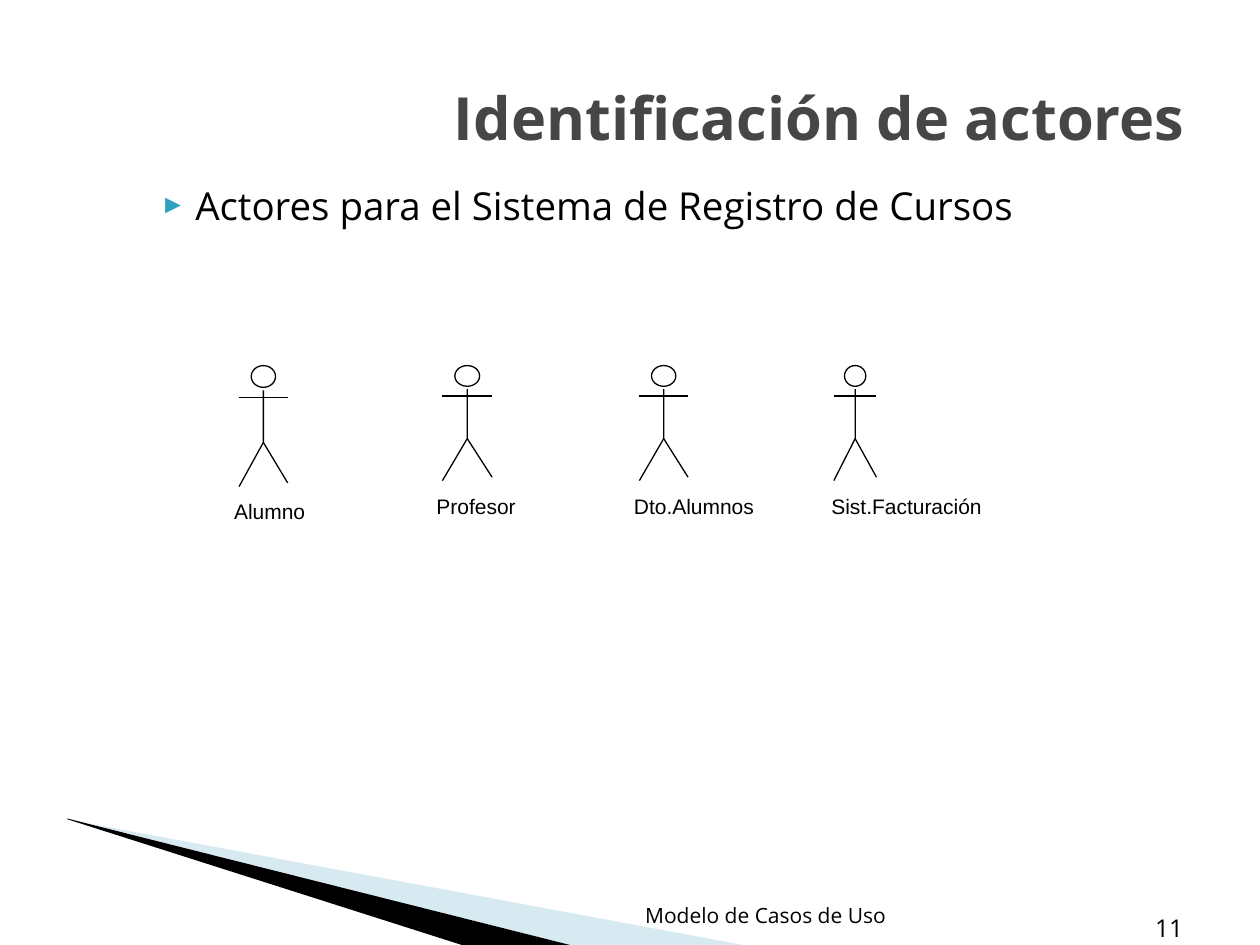
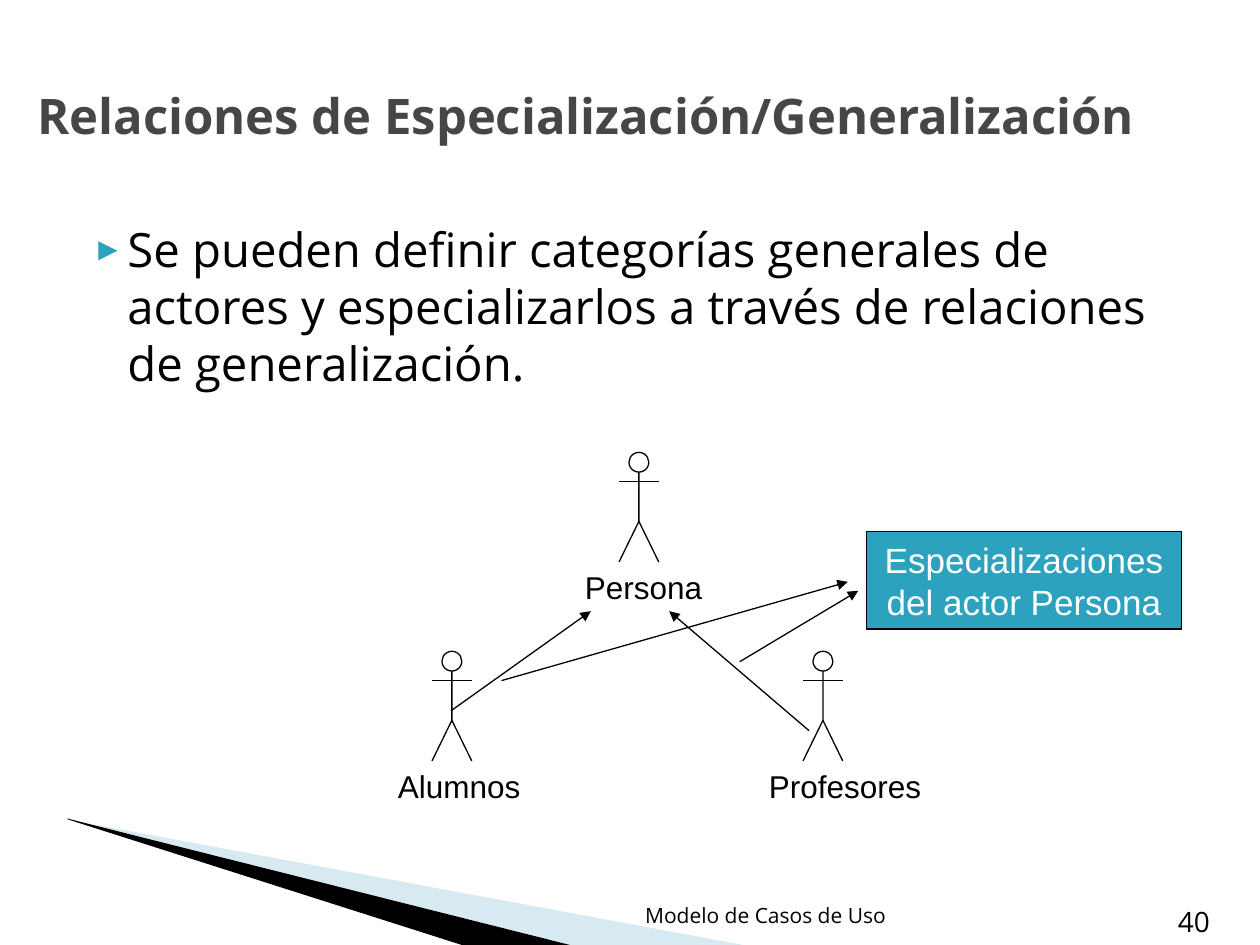
from lxml.etree import SubElement
from pptx import Presentation
from pptx.dml.color import RGBColor as Rgb
from pptx.enum.shapes import MSO_CONNECTOR as Link, MSO_SHAPE as Form
from pptx.enum.text import MSO_ANCHOR as Anchor, PP_ALIGN as Align
from pptx.oxml.ns import qn
from pptx.util import Cm, Pt

# Content: lengths in cm, boxes as left, top, width, height
HUES = {"ink": "000000", "title": "464646", "teal": "2DA2BF",
        "pale": "9FCBDC", "white": "FFFFFF"}
SANS, ARIAL = "Open Sans", "Arial"
WIDE, HIGH = 25.4, 19.05
FOOT = ("Modelo de Casos de Uso", (12.17, 17.81, 6.53, 1.02))
BANDS = [
    ("pale", 40, [(1.4, 16.53), (14.98, HIGH), (11.49, HIGH), (1.4, 16.51)]),
    ("ink", 100, [(1.35, 16.5), (11.49, HIGH), (9.31, HIGH), (1.37, 16.52)]),
]

# Actors: name, centre, top, half arm span, height, label left, label width
SLIDES = [
    {
        "title": ("Identificación de actores", (1.27, 0.76, 22.86, 3.18), 34, Align.RIGHT),
        "body": ("Actores para el Sistema de Registro de Cursos",
                 (2.67, 3.53, 19.84, 12.07), 22),
        "page": ("11", (22.91, 18.11, 1.19, 1.02), 14),
        "pose": {"neck": 0.205, "hip": 0.635, "step": 0.97},
        "label": {"size": 12, "inset": (0.25, 0.13)},
        "actors": [
            ("Alumno", 5.31, 7.37, 0.49, 2.44, 4.47, 2.64),
            ("Profesor", 9.42, 7.37, 0.5, 2.32, 8.55, 2.95),
            ("Dto.Alumnos", 13.38, 7.37, 0.49, 2.32, 12.53, 3.96),
            ("Sist.Facturación", 17.24, 7.37, 0.43, 2.32, 16.51, 4.22),
        ],
        "arrows": [],
        "notes": [],
    },
    {
        "title": ("Relaciones de Especialización/Generalización",
                  (0.51, 0.72, 24.89, 3.18), 28, Align.LEFT),
        "body": ("Se pueden definir categorías generales de actores y "
                 "especializarlos a través de relaciones de generalización.",
                 (1.3, 4.32, 22.86, 4.01), 27),
        "page": ("40", (18.11, 18.03, 6.53, 1.02), 16),
        "pose": {"neck": 0.18, "hip": 0.63, "step": 1},
        "label": {"size": 18, "inset": (0, 0)},
        "actors": [
            ("Persona", 12.88, 9.12, 0.4, 2.21, 11.79, 2.51),
            ("Alumnos", 9.11, 13.13, 0.4, 2.21, 8.02, 2.72),
            ("Profesores", 16.59, 13.13, 0.4, 2.21, 15.5, 3.33),
        ],
        "arrows": [
            ((9.09, 14.33), (11.91, 12.32)),
            ((16.31, 14.73), (13.49, 12.32)),
            ((14.91, 13.34), (17.3, 11.91)),
            ((10.11, 13.72), (17.09, 11.73)),
        ],
        "notes": [("Especializaciones del actor Persona", (17.47, 10.72, 6.35, 1.96))],
    },
]


def hue(name):
    return Rgb.from_string(HUES[name])


def cms(vals):
    return [Cm(v) for v in vals]


# Text
def write(shape, words, *, size, font=SANS, color="ink", bold=False,
          align=Align.LEFT, anchor=Anchor.TOP, inset=(0.25, 0.13)):
    frame = shape.text_frame
    frame.word_wrap = True
    frame.vertical_anchor = anchor
    frame.margin_left = frame.margin_right = Cm(inset[0])
    frame.margin_top = frame.margin_bottom = Cm(inset[1])
    para = frame.paragraphs[0]
    para.alignment = align
    run = para.add_run()
    run.text = words
    run.font.name, run.font.size, run.font.bold = font, Pt(size), bold
    run.font.color.rgb = hue(color)
    return para


def label(shapes, words, box, **form):
    return write(shapes.add_textbox(*cms(box)), words, **form)


def bullet(para):
    para.space_before = Pt(2)
    props = para._p.get_or_add_pPr()
    props.set("marL", str(Cm(1.02)))
    props.set("indent", str(Cm(-0.71)))
    tint = SubElement(props, qn("a:buClr"))
    SubElement(tint, qn("a:srgbClr"), val=HUES["teal"])
    SubElement(props, qn("a:buSzPct"), val="68000")
    SubElement(props, qn("a:buFont"), typeface=ARIAL)
    SubElement(props, qn("a:buChar"), char="►")


# Shapes
def paint(shape, fill=None, line=None):
    shape.shadow.inherit = False
    if fill:
        shape.fill.solid()
        shape.fill.fore_color.rgb = hue(fill)
    else:
        shape.fill.background()
    if line:
        shape.line.color.rgb = hue(line)
        shape.line.width = Pt(0.75)
    else:
        shape.line.fill.background()
    return shape


def trace(shapes, dots, closed):
    first, *rest = [tuple(cms(dot)) for dot in dots]
    pen = shapes.build_freeform(*first)
    pen.add_line_segments(rest, close=closed)
    return pen.convert_to_shape()


def rule(shapes, start, end, arrow=False):
    link = shapes.add_connector(Link.STRAIGHT, *cms(start + end))
    link.line.color.rgb = hue("ink")
    link.line.width = Pt(0.75)
    if arrow:
        SubElement(link.line._get_or_add_ln(), qn("a:tailEnd"), type="triangle")
    SubElement(link._element.spPr, qn("a:effectLst"))


def actor(slide, pose, form, name, mid, top, half, tall, left, wide):
    parts = slide.shapes.add_group_shape().shapes
    arm, hip = top + tall * 0.265, top + tall * pose["hip"]
    head = parts.add_shape(Form.OVAL, *cms((mid - half / 2, top, half, tall * 0.18)))
    paint(head, "white", "ink")
    rule(parts, (mid - half, arm), (mid + half, arm))
    rule(parts, (mid, hip), (mid + half, top + tall * pose["step"]))
    trunk = [(mid, top + tall * pose["neck"]), (mid, hip), (mid - half, top + tall)]
    paint(trace(parts, trunk, False), line="ink")
    label(parts, name, (left, top + tall + 0.12, wide, 0.76), font=ARIAL, **form)


# Slides
def frame(slide, data):
    for fill, alpha, dots in BANDS:
        band = paint(trace(slide.shapes, dots, True), fill)
        if alpha < 100:
            tint = band._element.spPr.find(".//" + qn("a:srgbClr"))
            SubElement(tint, qn("a:alpha"), val=str(alpha * 1000))
    words, box, size, align = data["title"]
    label(slide.shapes, words, box, size=size, color="title", bold=True,
          align=align, anchor=Anchor.MIDDLE)
    words, box, size = data["body"]
    bullet(label(slide.shapes, words, box, size=size))
    words, box, size = data["page"]
    label(slide.shapes, words, box, size=size, align=Align.RIGHT, anchor=Anchor.BOTTOM)
    label(slide.shapes, *FOOT, size=12, align=Align.CENTER, anchor=Anchor.BOTTOM)


def main():
    deck = Presentation()
    deck.slide_width, deck.slide_height = Cm(WIDE), Cm(HIGH)
    for data in SLIDES:
        slide = deck.slides.add_slide(deck.slide_layouts[6])
        frame(slide, data)
        for row in data["actors"]:
            actor(slide, data["pose"], data["label"], *row)
        for start, end in data["arrows"]:
            rule(slide.shapes, start, end, arrow=True)
        for words, box in data["notes"]:
            note = paint(slide.shapes.add_shape(Form.RECTANGLE, *cms(box)), "teal", "ink")
            write(note, words, size=20, font=ARIAL, color="white",
                  align=Align.CENTER, anchor=Anchor.MIDDLE)
    deck.save("out.pptx")


if __name__ == "__main__":
    main()
